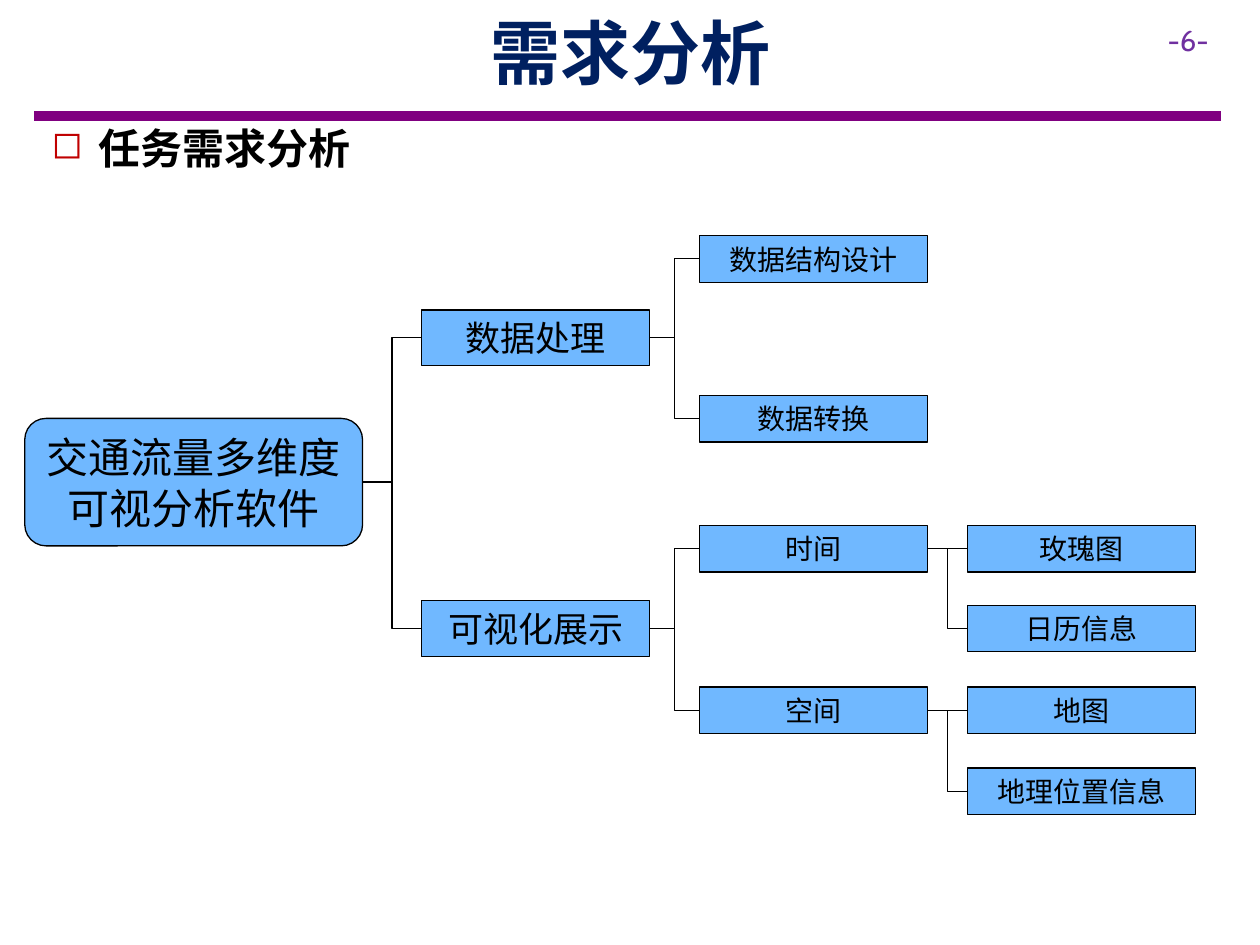
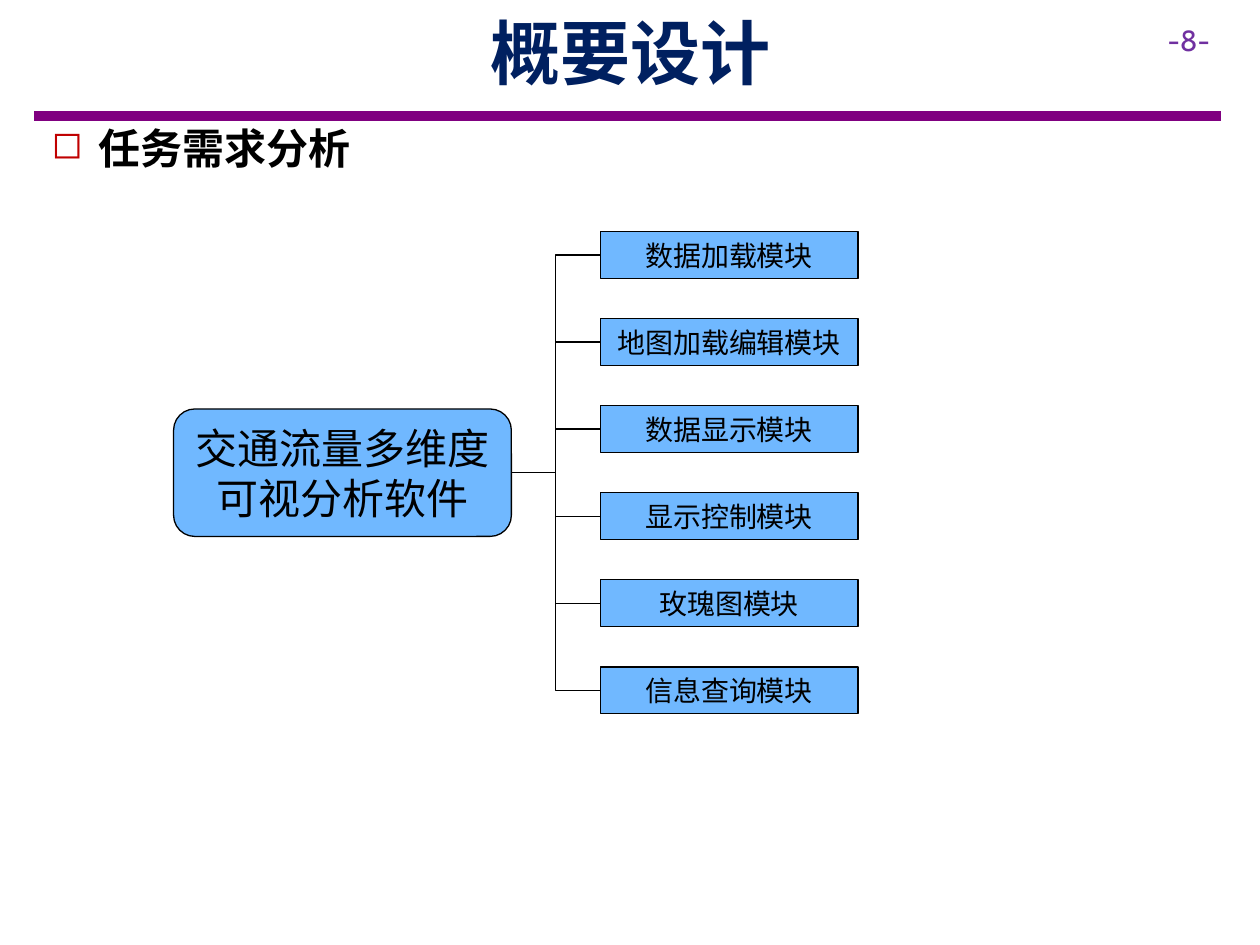
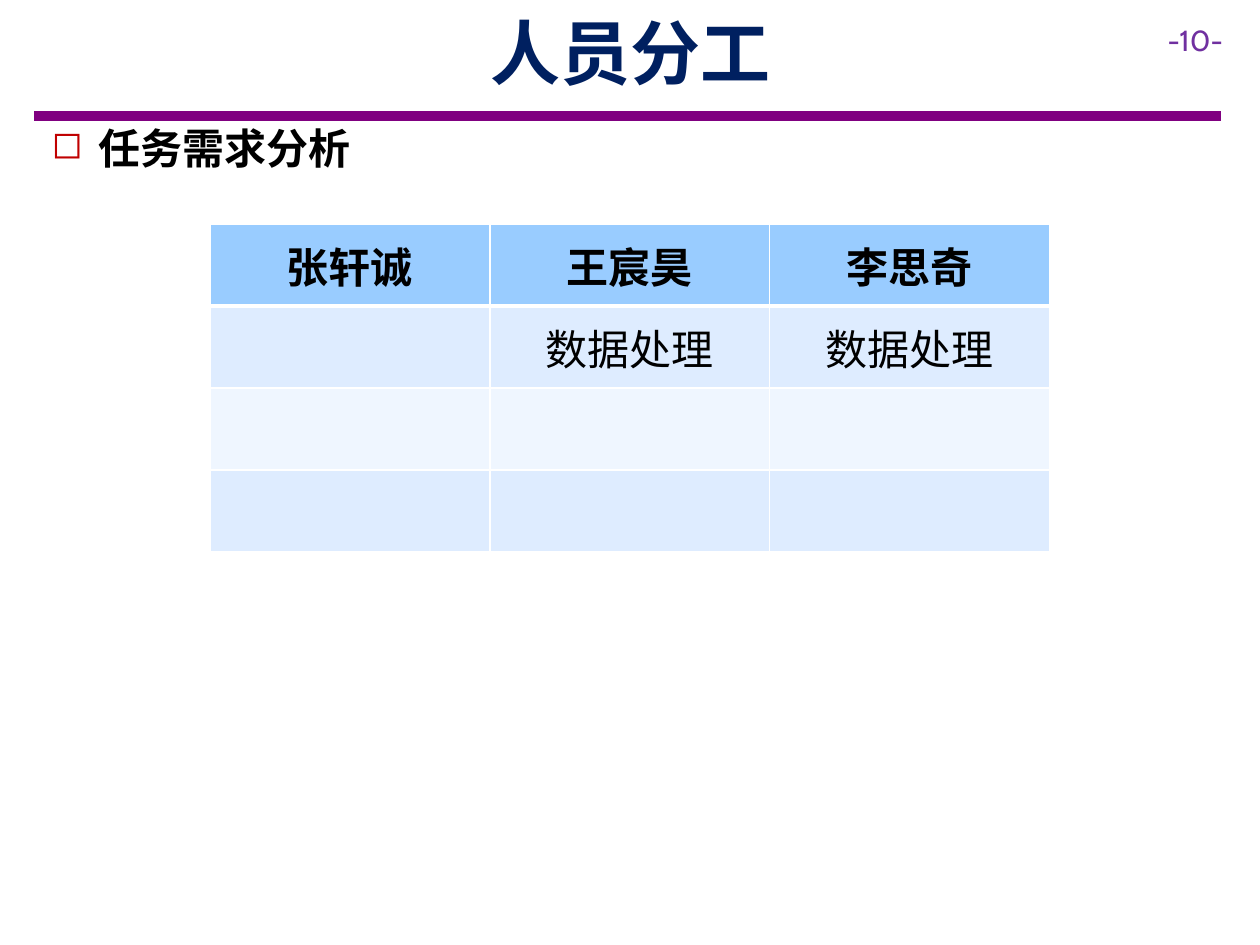
"""Build three slides on the requirements, design and staffing of a traffic visualisation tool."""
from dataclasses import dataclass

from lxml.etree import SubElement
from pptx import Presentation
from pptx.dml.color import RGBColor
from pptx.enum.shapes import MSO_CONNECTOR as Connector, MSO_SHAPE as Preset
from pptx.enum.text import MSO_ANCHOR as Anchor, MSO_AUTO_SIZE as AutoSize, PP_ALIGN as Align
from pptx.oxml.ns import qn
from pptx.util import Cm, Pt


@dataclass(frozen=True)
class Theme:
    sans: str = "Noto Sans CJK SC"
    serif: str = "Times New Roman"
    number_font: str = "Cabin"
    black: str = "000000"
    white: str = "FFFFFF"
    title: str = "002060"
    rule: str = "800080"
    number: str = "7030A0"
    bullet: str = "C00000"
    box: str = "70B8FF"
    header: str = "99CCFF"
    bands: tuple = ("DEECFF", "EFF6FF")
    title_size: float = 40
    large_size: float = 24
    medium_size: float = 20
    small_size: float = 16
    number_size: float = 16.6


theme = Theme()


def write(text_frame, text, size, color=theme.black, font=theme.sans, bold=False, align=Align.CENTER):
    text_frame.text = text
    text_frame.word_wrap = True
    paragraph = text_frame.paragraphs[0]
    paragraph.alignment = align
    for run in paragraph.runs:
        run.font.size = Pt(size)
        run.font.bold = bold
        run.font.name = font
        run.font.color.rgb = RGBColor.from_string(color)
        SubElement(run.font._element, qn("a:ea"), typeface=theme.sans)
    return paragraph


def connect(slide, kind, start, end, color, width):
    connector = slide.shapes.add_connector(kind, *map(Cm, start + end))
    connector.line.color.rgb = RGBColor.from_string(color)
    connector.line.width = Pt(width)
    SubElement(connector._element.spPr, qn("a:effectLst"))
    return connector


presentation = Presentation()
presentation.slide_width = Cm(25.4)
presentation.slide_height = Cm(19.05)

slides = []
for title, number in (("需求分析", 6), ("概要设计", 8), ("人员分工", 10)):
    slide = presentation.slides.add_slide(presentation.slide_layouts[5])
    slides.append(slide)
    connect(slide, Connector.STRAIGHT, (0.69, 2.34), (24.61, 2.34), theme.rule, 6)

    heading = slide.shapes.title
    heading.left, heading.top, heading.width, heading.height = map(Cm, (2.11, -0.02, 21.2, 2.13))
    write(heading.text_frame, title, theme.title_size, theme.title, bold=True)
    heading.text_frame.auto_size = AutoSize.NONE
    heading.text_frame.vertical_anchor = Anchor.MIDDLE

    page = slide.shapes.add_textbox(*map(Cm, (23.29, 0.33, 2.11, 0.97)))
    write(page.text_frame, f"-{number}-", theme.number_size, theme.number, theme.number_font, align=Align.LEFT)

    topic = slide.shapes.add_textbox(*map(Cm, (0.79, 2.34, 23.7, 1.27)))
    paragraph = write(topic.text_frame, "任务需求分析", theme.large_size, font=theme.serif, bold=True, align=Align.LEFT)
    paragraph.space_before = Pt(6)
    properties = paragraph._element.get_or_add_pPr()
    properties.set("marL", str(Cm(0.95)))
    properties.set("indent", str(Cm(-0.95)))
    bullet_color = SubElement(properties, qn("a:buClr"))
    SubElement(bullet_color, qn("a:srgbClr"), val=theme.bullet)
    SubElement(properties, qn("a:buSzPct"), val="90000")
    SubElement(properties, qn("a:buChar"), char="◻")

levels = {
    "root": (Preset.ROUNDED_RECTANGLE, 6.81, 2.57, theme.large_size),
    "branch": (Preset.RECTANGLE, 4.6, 1.12, theme.medium_size),
    "leaf": (Preset.RECTANGLE, 4.6, 0.94, theme.small_size),
    "module": (Preset.RECTANGLE, 5.2, 0.94, theme.small_size),
}
product = "交通流量多维度可视分析软件"
task_tree = [
    (product, None, "root", 0.5, 9.72),
    ("数据处理", product, "branch", 8.5, 6.81),
    ("可视化展示", product, "branch", 8.5, 12.67),
    ("数据结构设计", "数据处理", "leaf", 14.1, 5.22),
    ("数据转换", "数据处理", "leaf", 14.1, 8.44),
    ("时间", "可视化展示", "leaf", 14.1, 11.06),
    ("空间", "可视化展示", "leaf", 14.1, 14.32),
    ("玫瑰图", "时间", "leaf", 19.5, 11.06),
    ("日历信息", "时间", "leaf", 19.5, 12.67),
    ("地图", "空间", "leaf", 19.5, 14.32),
    ("地理位置信息", "空间", "leaf", 19.5, 15.95),
]
modules = ["数据加载模块", "地图加载编辑模块", "数据显示模块", "显示控制模块", "玫瑰图模块", "信息查询模块"]
module_tree = [(product, None, "root", 3.5, 9.53)]
for index, module in enumerate(modules):
    module_tree.append((module, product, "module", 12.1, 5.14 + 1.755 * index))

for slide, tree in zip(slides, (task_tree, module_tree)):
    drawn = {}
    for text, parent, level, left, middle in tree:
        preset, width, height, size = levels[level]
        box = slide.shapes.add_shape(preset, *map(Cm, (left, middle - height / 2, width, height)))
        box.shadow.inherit = False
        box.fill.solid()
        box.fill.fore_color.rgb = RGBColor.from_string(theme.box)
        box.line.color.rgb = RGBColor.from_string(theme.black)
        box.line.width = Pt(0.75)
        write(box.text_frame, text, size)
        box.text_frame.vertical_anchor = Anchor.MIDDLE
        drawn[text] = (left + width, middle)
        if parent:
            start = drawn[parent]
            kind = Connector.STRAIGHT if start[1] == middle else Connector.ELBOW
            connect(slide, kind, start, (left, middle), theme.black, 0.75)

staffing = [
    ("张轩诚", "王宸昊", "李思奇"),
    ("", "数据处理", "数据处理"),
    ("", "", ""),
    ("", "", ""),
]
table = slides[2].shapes.add_table(4, 3, *map(Cm, (4.23, 4.52, 16.93, 6.6))).table
for row_index, row in enumerate(staffing):
    is_header = row_index == 0
    fill = theme.header if is_header else theme.bands[(row_index - 1) % 2]
    for column_index, text in enumerate(row):
        cell = table.cell(row_index, column_index)
        write(cell.text_frame, text, theme.large_size, bold=is_header)
        cell.vertical_anchor = Anchor.MIDDLE
        borders = {
            "a:lnL": 1,
            "a:lnR": 1,
            "a:lnT": 3 if row_index == 1 else 1,
            "a:lnB": 3 if is_header else 1,
        }
        for side, width in borders.items():
            border = SubElement(cell._tc.get_or_add_tcPr(), qn(side), w=str(Pt(width)))
            border_fill = SubElement(border, qn("a:solidFill"))
            SubElement(border_fill, qn("a:srgbClr"), val=theme.white)
        cell.fill.solid()
        cell.fill.fore_color.rgb = RGBColor.from_string(fill)

presentation.save("out.pptx")
